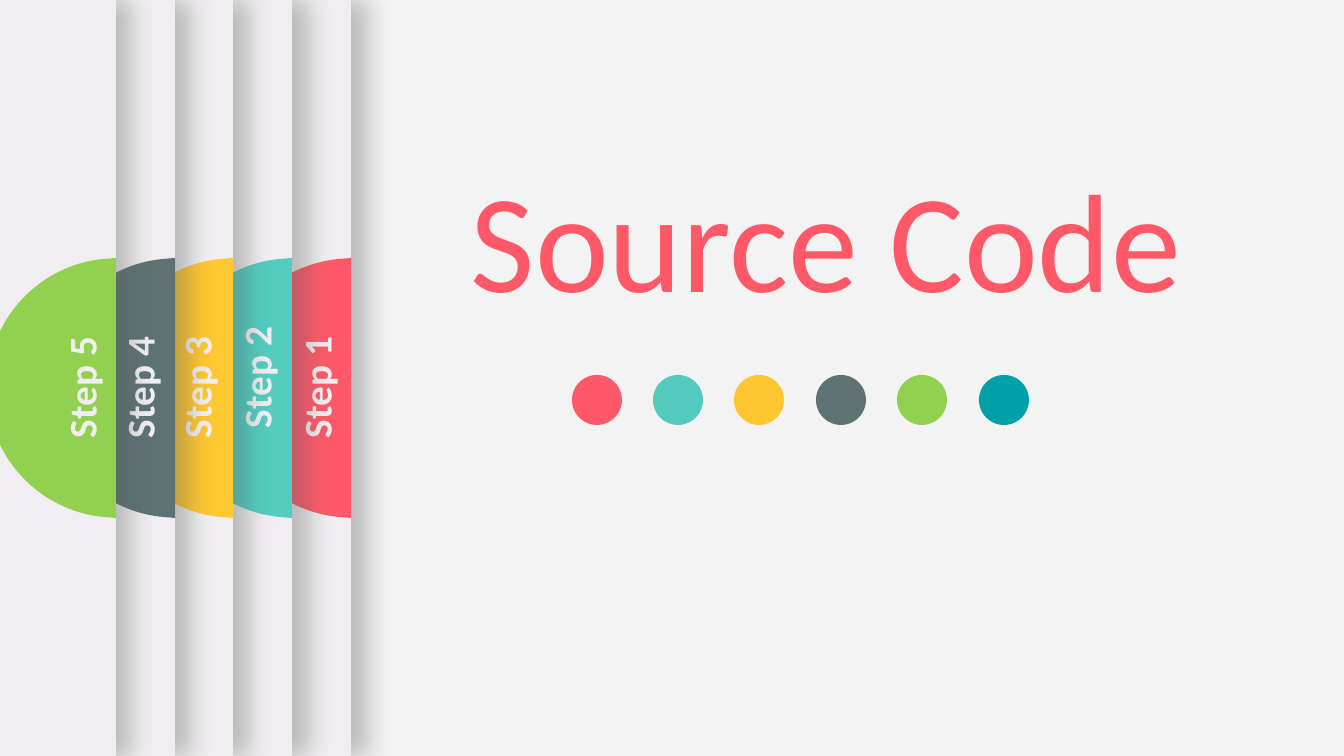
"""Build the "Source Code" title slide with five stacked step panels."""
from lxml import etree
from pptx import Presentation, util as u
from pptx.dml.color import RGBColor
from pptx.enum import shapes, text
from pptx.oxml import ns

PX = u.Inches(7.5) / 756
HUES = {
    "back": "F3F3F3", "panel": "F0EEF0", "shade": "595959",
    "red": "FF5969", "teal": "52CBBE", "gold": "FEC630",
    "slate": "5D7373", "green": "92D050", "cyan": "00A0A8",
    "mint": "52CDC0", "amber": "FFC730",
}


def paint(shape, hue):
    shape.shadow.inherit = False
    shape.fill.solid()
    shape.fill.fore_color.rgb = RGBColor.from_string(HUES[hue])
    shape.line.fill.background()


def label(parent, words, box, size, hue, bold=False):
    item = parent.add_textbox(*[round(n * PX) for n in box])
    frame = item.text_frame
    frame.word_wrap = True
    frame.auto_size = text.MSO_AUTO_SIZE.SHAPE_TO_FIT_TEXT
    frame.text = words
    para = frame.paragraphs[0]
    para.alignment = text.PP_ALIGN.CENTER
    font = para.runs[0].font
    font.name, font.size, font.bold = "Calibri", u.Pt(size), bold
    font.color.rgb = RGBColor.from_string(HUES[hue])
    return item


deck = Presentation()
deck.slide_width, deck.slide_height = round(1344 * PX), round(756 * PX)
slide = deck.slides.add_slide(deck.slide_layouts[6])
slide.background.fill.solid()
slide.background.fill.fore_color.rgb = RGBColor.from_string(HUES["back"])

label(slide.shapes, "Source Code", (308, 148, 1036, 179), 100, "red")

dots = slide.shapes.add_group_shape().shapes
for i, hue in enumerate(["red", "teal", "gold", "slate", "green", "cyan"]):
    box = (572 + i * 407 // 5, 375, 50, 50)
    dot = dots.add_shape(shapes.MSO_SHAPE.OVAL, *[round(n * PX) for n in box])
    paint(dot, hue)

TOP = 258
CURVES = [[(51, 253), (0, 197), (0, 130)], [(0, 63), (51, 7), (117, 1)]]
steps = [
    (-1025, 351, "red", 316, 388), (-970, 292, "mint", 256, 378),
    (-865, 233, "amber", 196, 388), (-880, 175, "slate", 139, 388),
    (-842, 116, "green", 81, 388),
]
for i, (left, edge, hue, col, row) in enumerate(steps, 1):
    group = slide.shapes.add_group_shape().shapes
    box = (left, 0, edge - left, 756)
    panel = group.add_shape(shapes.MSO_SHAPE.RECTANGLE, *[round(n * PX) for n in box])
    paint(panel, "panel")
    effects = panel._element.spPr.find(ns.qn("a:effectLst"))
    shade = etree.SubElement(effects, ns.qn("a:outerShdw"), blurRad=str(u.Pt(17)),
                             dist=str(u.Pt(3)), dir="0", sx="101000", algn="l",
                             rotWithShape="0")
    tint = etree.SubElement(shade, ns.qn("a:srgbClr"), val=HUES["shade"])
    etree.SubElement(tint, ns.qn("a:alpha"), val="35000")

    pen = group.build_freeform(edge, TOP, scale=PX)
    nodes = [(129, 260), (117, 259), (0, 130), (117, 1)]
    pen.add_line_segments([(edge - 129 + x, TOP + y) for x, y in nodes], close=True)
    tab = pen.convert_to_shape()
    paint(tab, hue)
    lines = list(tab._element.iter(ns.qn("a:lnTo")))
    for line, curve in zip(lines[2:4], CURVES):
        bend = etree.Element(ns.qn("a:cubicBezTo"))
        for x, y in curve:
            etree.SubElement(bend, ns.qn("a:pt"), x=str(x), y=str(y))
        line.getparent().replace(line, bend)

    name = label(group, f"Step {i}", (col - 110, row - 29, 220, 57), 28, "panel", True)
    name.rotation = 270

deck.save("out.pptx")
